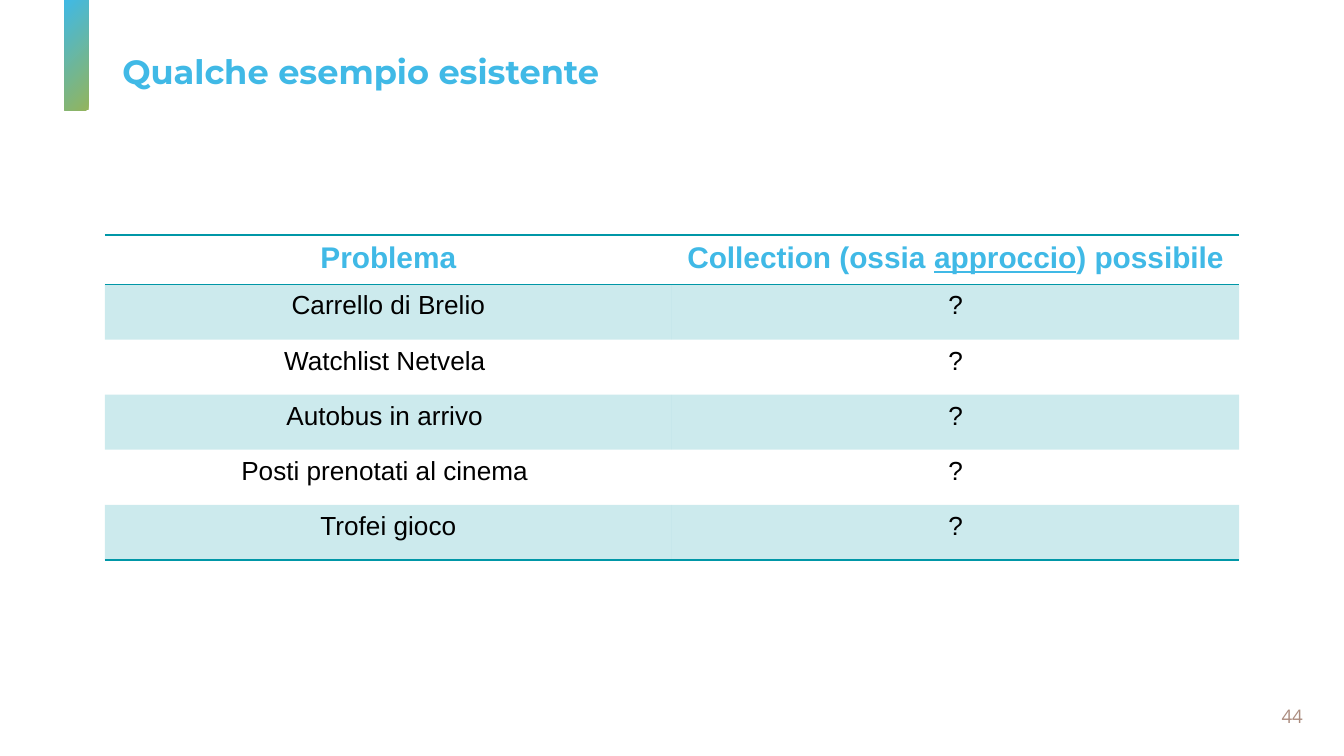
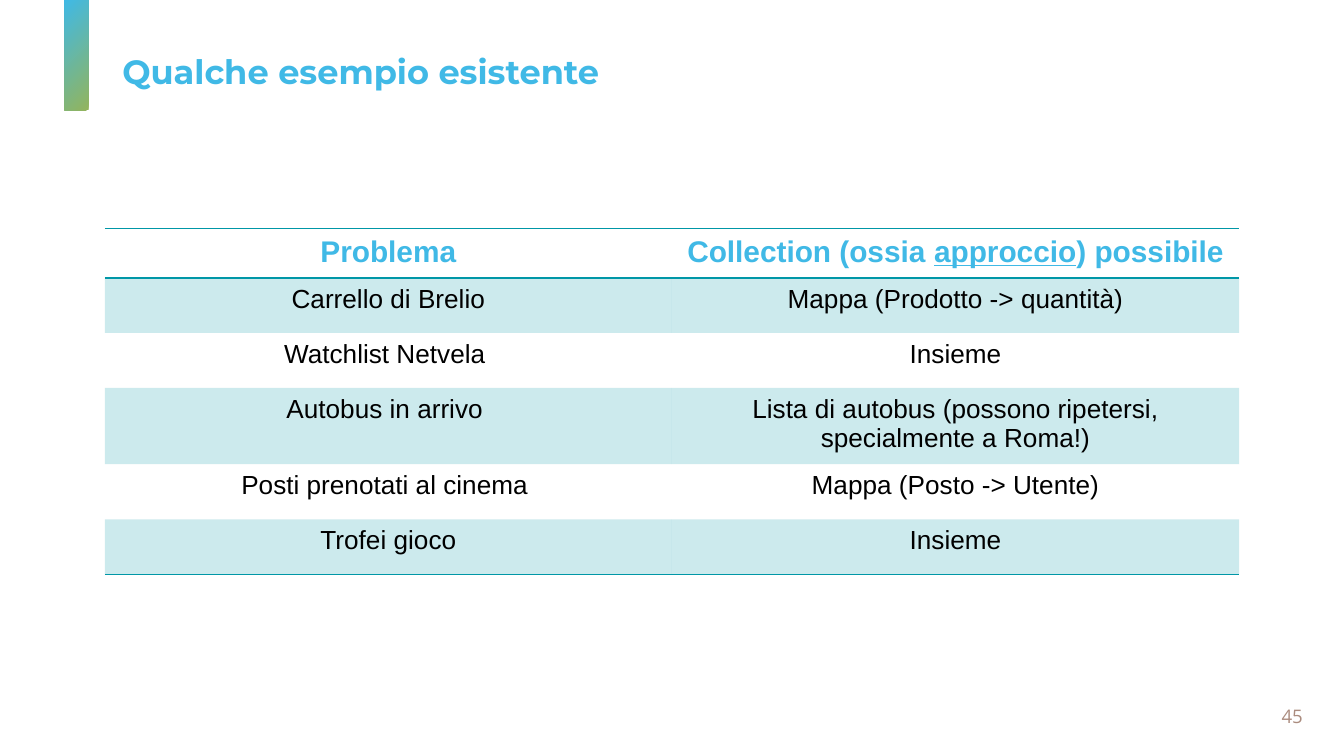
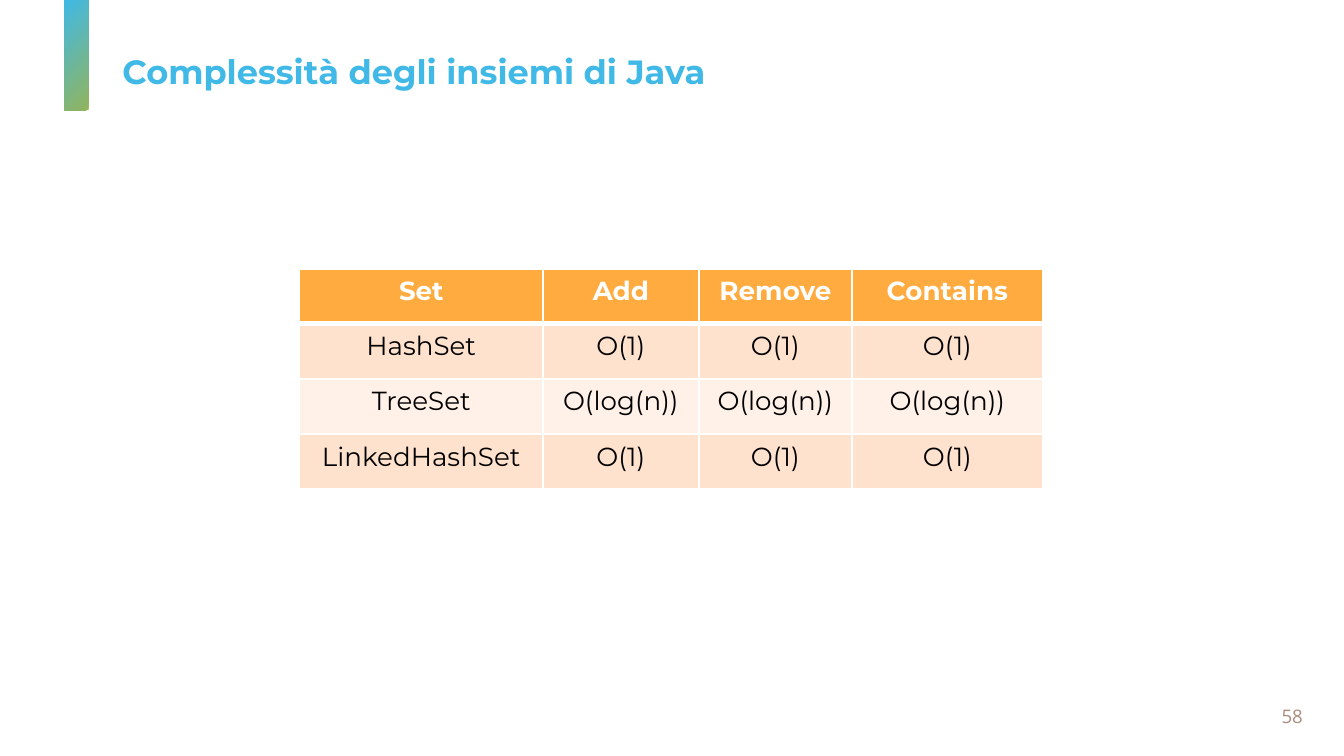
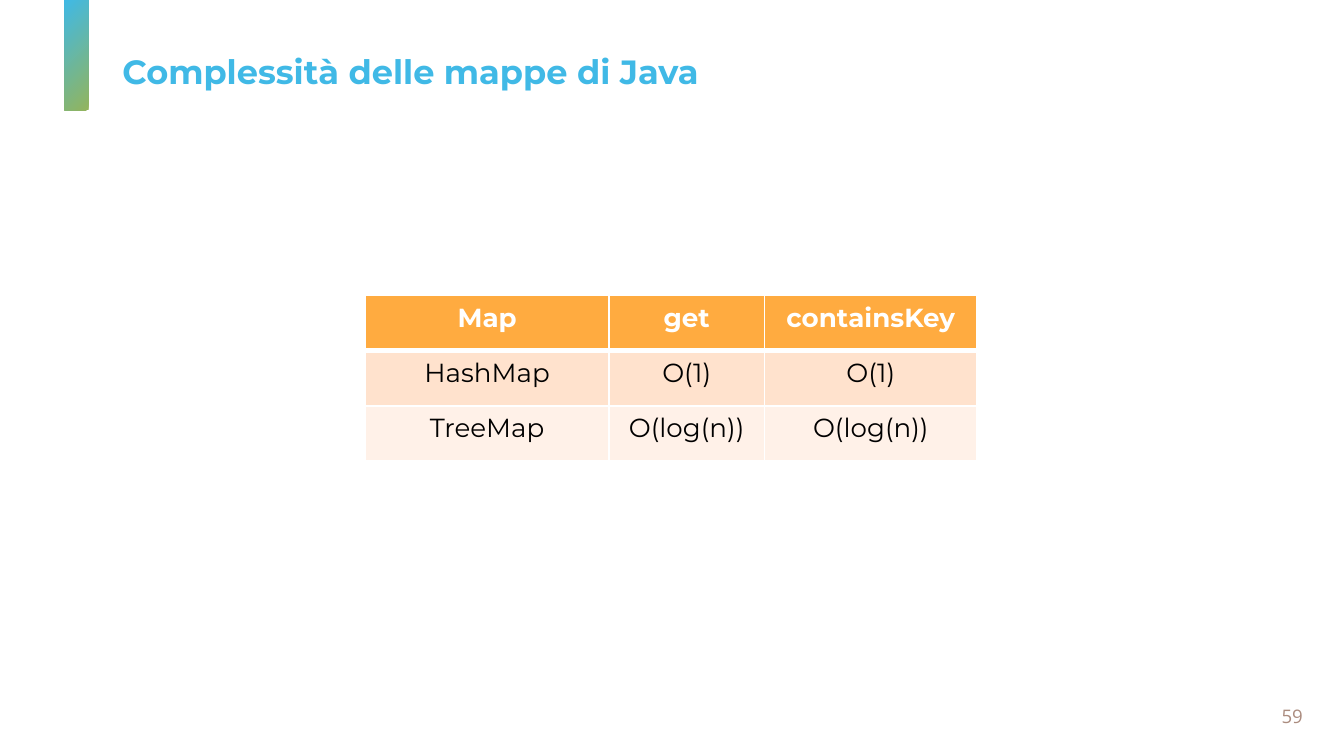
import pptx
import pptx.dml.color
import pptx.enum.shapes
import pptx.enum.text
import pptx.oxml
import pptx.oxml.ns
import pptx.util
from lxml import etree

Inches = pptx.util.Inches
Pt = pptx.util.Pt
ALIGN = pptx.enum.text.PP_ALIGN

HUES = {
    "sky": "40B9E6",
    "leaf": "93B45D",
    "clay": "AB8C7F",
    "teal": "0097A7",
    "gold": "FFAB40",
    "peach": "FFE2CD",
    "cream": "FFF1E8",
    "white": "FFFFFF",
    "black": "000000",
}
PLAIN = "{2D5ABB26-0587-4C30-8999-92F81FD0307C}"
ROW = 0.41


def tint(name):
    return pptx.dml.color.RGBColor.from_string(HUES[name])


def write(para, text, font, size, hue, bold=False, align=ALIGN.LEFT):
    para.alignment = align
    for place, part in enumerate(text.split("_")):
        run = para.add_run()
        run.text = part
        run.font.name = font
        run.font.size = Pt(size)
        run.font.bold = bold
        run.font.color.rgb = tint(hue)
        if place % 2:
            run.font.underline = True


def label(slide, box, inset, text, *style):
    frame = slide.shapes.add_textbox(*map(Inches, box)).text_frame
    frame.word_wrap = True
    frame.vertical_anchor = pptx.enum.text.MSO_ANCHOR.MIDDLE
    frame.margin_left = frame.margin_right = Inches(inset)
    frame.margin_top = frame.margin_bottom = Inches(inset)
    write(frame.paragraphs[0], text, *style)


def ribbon(slide, box):
    kind = pptx.enum.shapes.MSO_SHAPE.RECTANGLE
    shape = slide.shapes.add_shape(kind, *map(Inches, box))
    shape.shadow.inherit = False
    shape.line.fill.background()
    shape.fill.gradient()
    shape.fill.gradient_angle = 135
    for stop, hue in zip(shape.fill.gradient_stops, ("leaf", "sky")):
        stop.color.rgb = tint(hue)


def base(deck, title, page):
    slide = deck.slides.add_slide(deck.slide_layouts[6])
    label(slide, (0.84, 0.23, 8.39, 0.59), 0.07, title,
          "Montserrat", 18, "sky", True)
    ribbon(slide, (0.48, 0, 0.18, 0.82))
    label(slide, (9.23, 5.21, 0.77, 0.24), 0.13, str(page),
          "Open Sans", 10, "clay", False, ALIGN.CENTER)
    return slide


def edge(cell, side, hue, width):
    props = cell._tc.get_or_add_tcPr()
    qn = pptx.oxml.ns.qn
    line = etree.SubElement(props, qn("a:ln" + side), w=str(Pt(width)))
    fill = etree.SubElement(line, qn("a:solidFill"))
    etree.SubElement(fill, qn("a:srgbClr"), val=HUES[hue])


def paint(cell, hue, alpha=None):
    if hue is None:
        cell.fill.background()
        return
    cell.fill.solid()
    cell.fill.fore_color.rgb = tint(hue)
    if alpha:
        qn = pptx.oxml.ns.qn
        color = cell._tc.tcPr.find(qn("a:solidFill")).find(qn("a:srgbClr"))
        etree.SubElement(color, qn("a:alpha"), val=str(alpha * 1000))


def grid(slide, left, top, cols, rows, data, dress):
    frame = slide.shapes.add_table(
        len(rows), len(cols), Inches(left), Inches(top),
        Inches(sum(cols)), Inches(sum(rows)))
    table = frame.table
    table.first_row = table.horz_banding = False
    table._tbl.tblPr.find(pptx.oxml.ns.qn("a:tableStyleId")).text = PLAIN
    for col, width in zip(table.columns, cols):
        col.width = Inches(width)
    for row, height in zip(table.rows, rows):
        row.height = Inches(height)
    for r, texts in enumerate(data):
        for c, text in enumerate(texts):
            dress(table.cell(r, c), text, r, r == len(data) - 1)


def calm(cell, text, r, last):
    if r == 0:
        edge(cell, "T", "teal", 1)
    if r == 0 or last:
        edge(cell, "B", "teal", 1)
    paint(cell, "teal" if r % 2 else None, 20)
    size, hue = (14, "black") if r else (16, "sky")
    write(cell.text_frame.paragraphs[0], text, "Arial", size, hue,
          r == 0, ALIGN.CENTER)


def warm(cell, text, r, last):
    edge(cell, "L", "white", 1)
    edge(cell, "R", "white", 1)
    edge(cell, "T", "white", 3 if r == 1 else 1)
    edge(cell, "B", "white", 3 if r == 0 else 1)
    band = "peach" if r % 2 else "cream"
    paint(cell, band if r else "gold")
    write(cell.text_frame.paragraphs[0], text, "Montserrat", 14,
          "black" if r else "white", r == 0, ALIGN.CENTER)


def cases(deck, page, top, replies):
    slide = base(deck, "Qualche esempio esistente", page)
    needs = ["Carrello di Brelio", "Watchlist Netvela ", "Autobus in arrivo ",
             "Posti prenotati al cinema ", "Trofei gioco"]
    head = ("Problema", "Collection (ossia _approccio_) possibile")
    data = [head, *zip(needs, replies)]
    grid(slide, 0.78, top, [4.22] * 2, [0.3] + [ROW] * len(needs), data, calm)


def costs(deck, page, title, left, top, cols, data):
    slide = base(deck, title, page)
    grid(slide, left, top, cols, [ROW] * len(data), data, warm)


def main():
    deck = pptx.Presentation()
    deck.slide_width = Inches(10)
    deck.slide_height = deck.slide_width * 9 // 16
    fast, slow = "O(1)", "O(log(n))"
    cases(deck, 44, 1.75, ["?"] * 5)
    cases(deck, 45, 1.7, [
        "Mappa (Prodotto -> quantità)", "Insieme",
        "Lista di autobus (possono ripetersi, specialmente a Roma!)",
        "Mappa (Posto -> Utente)", "Insieme"])
    costs(deck, 58, "Complessità degli insiemi di Java", 2.23, 2,
          [1.81, 1.16, 1.14, 1.42], [
              ["Set", "Add", "Remove", "Contains"],
              ["HashSet"] + [fast] * 3,
              ["TreeSet"] + [slow] * 3,
              ["LinkedHashSet"] + [fast] * 3])
    costs(deck, 59, "Complessità delle mappe di Java", 2.72, 2.2,
          [1.81, 1.16, 1.58], [
              ["Map", "get", "containsKey"],
              ["HashMap"] + [fast] * 2,
              ["TreeMap"] + [slow] * 2])
    deck.save("out.pptx")


if __name__ == "__main__":
    main()
